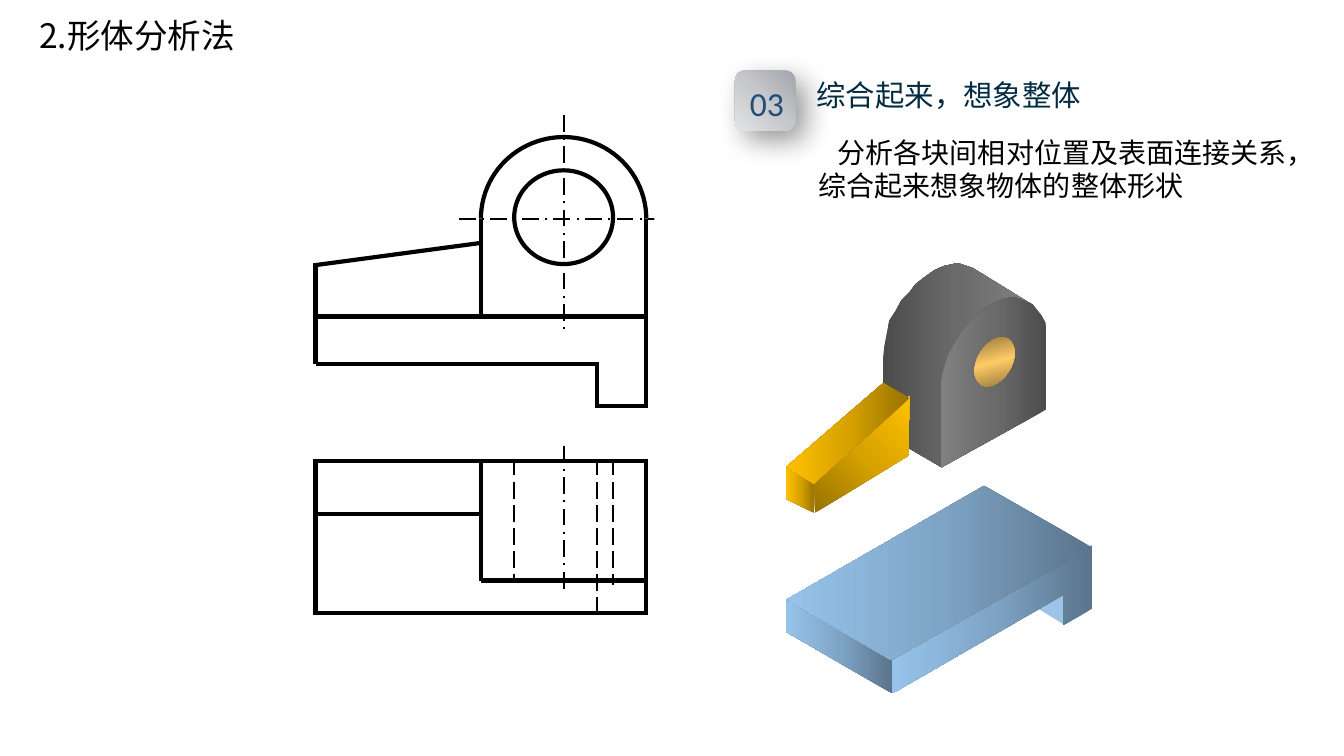
from lxml.etree import SubElement as Sub
from pptx import Presentation
from pptx.dml.color import RGBColor as RGB
from pptx.enum.dml import MSO_LINE
from pptx.enum.shapes import MSO_CONNECTOR as CONN, MSO_SHAPE as SHAPE
from pptx.enum.text import MSO_ANCHOR as ANCHOR, MSO_AUTO_SIZE as AUTO
from pptx.oxml.ns import qn
from pptx.util import Inches, Pt

CJK = "Noto Sans CJK SC"
BLUE = ("5A748B", "7FA5C6", "97C3EB")
GREY = ("4C4C4C", "6B6B6B", "808080")
GOLD = ("977200", "D7A200", "FFC000")
BRASS = ("765E2F", "FFCC66", "765E2F")
SILVER = ("A1A4AA", "C6C8CB", "E3E4E5")

BASE = [
    ("9DC3E6", 0, [(10.3, 6.04), (10.56, 6.2), (10.56, 5.89)]),
    (BLUE, 180, [(7.8, 5.94), (8.85, 6.55), (8.85, 6.88), (7.8, 6.27)]),
    (BLUE, 180, [(8.85, 6.54), (8.85, 6.88), (10.55, 5.9), (10.55, 6.2),
                 (10.83, 6.04), (10.83, 5.41)]),
    (BLUE, 180, [(7.8, 5.95), (9.76, 4.82), (10.83, 5.43), (8.84, 6.55)]),
]
UPRIGHT = [
    (GREY, 0, [(9.33, 4.63), (8.76, 4.3), (8.76, 3.54), (8.77, 3.44), (8.79, 3.33),
               (8.82, 3.18), (8.88, 3.09), (8.94, 2.98), (9.02, 2.9), (9.08, 2.82),
               (9.17, 2.75), (9.27, 2.68), (9.36, 2.64), (9.5, 2.61), (9.65, 2.66),
               (10.25, 3.03), (10.17, 2.99), (10.05, 2.97), (9.96, 2.98), (9.9, 3.02),
               (9.81, 3.06), (9.73, 3.12), (9.67, 3.18), (9.6, 3.25), (9.53, 3.32),
               (9.48, 3.41), (9.42, 3.53), (9.37, 3.69), (9.35, 3.8), (9.34, 3.9)]),
    (GREY, 180, [(9.33, 4.64), (10.38, 4.06), (10.38, 3.31), (10.37, 3.2), (10.33, 3.13),
                 (10.28, 3.07), (10.24, 3.02), (10.17, 2.99), (10.07, 2.95), (9.96, 2.96),
                 (9.86, 3.01), (9.76, 3.06), (9.68, 3.13), (9.62, 3.19), (9.54, 3.29),
                 (9.46, 3.42), (9.4, 3.54), (9.35, 3.7), (9.34, 3.78), (9.33, 3.89)]),
]
RIB = [
    (GOLD, 315, [(9.02, 3.93), (9.01, 4.52), (8.08, 5.09), (8.08, 4.77)]),
    (GOLD, 180, [(7.8, 4.62), (8.08, 4.79), (8.08, 5.09), (7.8, 4.95)]),
    (GOLD, 180, [(7.8, 4.63), (8.07, 4.8), (9.02, 3.95), (8.76, 3.8)]),
]

LEFT, RIB_END, HOLE_L, AXIS, STEP, HOLE_R, RIGHT = 3.13, 4.77, 5.1, 5.59, 5.92, 6.08, 6.41
CENTRE, DECK, UNDER, FOOT = 2.17, 3.14, 3.61, 4.03
BACK, RIB_FRONT, UPRIGHT_FRONT, FRONT = 4.57, 5.1, 5.76, 6.08
END = 0.02
SOLID, HIDDEN, AXIAL = (3, None), (1.5, MSO_LINE.LONG_DASH), (1.5, MSO_LINE.LONG_DASH_DOT)
LINES = {
    AXIAL: [(AXIS, 1.14, AXIS, 3.3), (4.55, CENTRE, 6.63, CENTRE), (AXIS, 4.42, AXIS, 5.88)],
    HIDDEN: [(STEP, BACK - END, STEP, FRONT), (HOLE_L, BACK - END, HOLE_L, UPRIGHT_FRONT),
             (HOLE_R, BACK - END, HOLE_R, UPRIGHT_FRONT + 2 * END)],
    SOLID: [
        (RIGHT, CENTRE, RIGHT, FOOT + END), (RIB_END, CENTRE, RIB_END, DECK + END),
        (STEP, FOOT, RIGHT + END, FOOT), (LEFT, UNDER, STEP + END, UNDER),
        (STEP, UNDER, STEP, FOOT + END), (LEFT, 2.61, LEFT, UNDER),
        (LEFT, DECK, RIGHT, DECK), (LEFT, 2.63, RIB_END, 2.41),
        (LEFT, BACK, RIGHT, BACK), (LEFT, FRONT, RIGHT, FRONT),
        (LEFT, BACK - END, LEFT, FRONT + END), (RIGHT, BACK - END, RIGHT, FRONT + END),
        (LEFT, RIB_FRONT, RIB_END, RIB_FRONT), (RIB_END, BACK - END, RIB_END, UPRIGHT_FRONT),
        (RIB_END, UPRIGHT_FRONT, RIGHT, UPRIGHT_FRONT)],
}
BODY = ("分析各块间相对位置及表面连接关系，综合起来想象物体的整体形状", (8.02, 1.29, 4.85, 0.77),
        20, CJK, "000000", {"word_wrap": True, "vertical_anchor": ANCHOR.MIDDLE}, 0.19)
TITLE = ("2.形体分析法", (0.29, 0.1, 2.52, 0.5), 24, CJK, "000000",
         {"word_wrap": True, "vertical_anchor": ANCHOR.MIDDLE}, 0)
NUMBER = ("03", (7.34, 0.77, 0.54, 0.5), 24, "Calibri", "1F4E79", {"word_wrap": False}, 0)
STEP_NAME = ("综合起来，想象整体", (8, 0.72, 3.04, 0.45), 21, CJK, "002B41", {"word_wrap": True}, 0)


def color(hex_code):
    return RGB.from_string(hex_code)


def box(at):
    return [Inches(v) for v in at]


def paint(s, fill, angle=0):
    s.shadow.inherit = False
    s.line.fill.background()
    if isinstance(fill, str):
        s.fill.solid()
        s.fill.fore_color.rgb = color(fill)
        return
    s.fill.gradient()
    grad = s._element.spPr.find(qn("a:gradFill"))
    for child in list(grad):
        grad.remove(child)
    stops = Sub(grad, qn("a:gsLst"))
    for i, c in enumerate(fill):
        Sub(Sub(stops, qn("a:gs"), pos=str(i * 50000)), qn("a:srgbClr"), val=c)
    Sub(grad, qn("a:lin"), ang=str(angle * 60000), scaled="0")


def add_faces(shapes, faces):
    for fill, angle, points in faces:
        start, *rest = [tuple(box(p)) for p in points]
        builder = shapes.build_freeform(*start, scale=1.0)
        builder.add_line_segments(rest, close=True)
        paint(builder.convert_to_shape(), fill, angle)


def add_outline(shapes, kind, at):
    s = shapes.add_shape(kind, *box(at))
    s.shadow.inherit = False
    s.fill.background()
    s.line.color.rgb = color("000000")
    s.line.width = Pt(3)
    return s


def add_views(shapes):
    for (width, dash), lines in LINES.items():
        for ends in lines:
            s = shapes.add_connector(CONN.STRAIGHT, *box(ends))
            s.line.color.rgb = color("000000")
            s.line.width = Pt(width)
            if dash:
                s.line.dash_style = dash
            Sub(s._element.spPr, qn("a:effectLst"))
    add_outline(shapes, SHAPE.OVAL, (HOLE_L, 1.69, HOLE_R - HOLE_L, 0.93))
    arc = add_outline(shapes, SHAPE.ARC, (RIB_END, 1.36, RIGHT - RIB_END, 2 * (CENTRE - 1.36)))
    arc.adjustments[0], arc.adjustments[1] = 108, 0


def add_text(shapes, text, at, size, font, hex_code, frame, indent):
    tf = shapes.add_textbox(*box(at)).text_frame
    for name, value in {**frame, "auto_size": AUTO.SHAPE_TO_FIT_TEXT}.items():
        setattr(tf, name, value)
    p = tf.paragraphs[0]
    p._p.get_or_add_pPr().set("indent", str(Inches(indent)))
    r = p.add_run()
    r.text = text
    r.font.size, r.font.name = Pt(size), font
    r.font.color.rgb = color(hex_code)
    Sub(r._r.get_or_add_rPr(), qn("a:ea"), typeface=font)


def add_badge(shapes):
    s = shapes.add_shape(SHAPE.ROUNDED_RECTANGLE, *box((7.29, 0.7, 0.6, 0.6)))
    paint(s, SILVER, 135)
    shadow = Sub(s._element.spPr.find(qn("a:effectLst")), qn("a:outerShdw"),
                 blurRad=str(Pt(20)), dist=str(Pt(10)), dir=str(45 * 60000),
                 algn="tl", rotWithShape="0")
    Sub(Sub(shadow, qn("a:srgbClr"), val="000000"), qn("a:alpha"), val="40000")


def main():
    """Build the slide on combining the parts into one solid."""
    prs = Presentation()
    prs.slide_width, prs.slide_height = box((13.33, 7.5))
    shapes = prs.slides.add_slide(prs.slide_layouts[6]).shapes
    add_faces(shapes.add_group_shape().shapes, BASE)
    add_views(shapes.add_group_shape().shapes)
    upright = shapes.add_group_shape().shapes
    add_faces(upright, UPRIGHT)
    bore = upright.add_shape(SHAPE.OVAL, *box((9.6, 3.42, 0.53, 0.34)))
    bore.rotation = 300.2
    paint(bore, BRASS, 315)
    add_faces(shapes.add_group_shape().shapes, RIB)
    for text in (BODY, TITLE):
        add_text(shapes, *text)
    paint(shapes.add_shape(SHAPE.RECTANGLE, *box((6.49, 2.1, 0.25, 0.33))), "FFFFFF")
    heading = shapes.add_group_shape().shapes
    add_badge(heading)
    for text in (NUMBER, STEP_NAME):
        add_text(heading, *text)
    prs.save("out.pptx")


if __name__ == "__main__":
    main()
